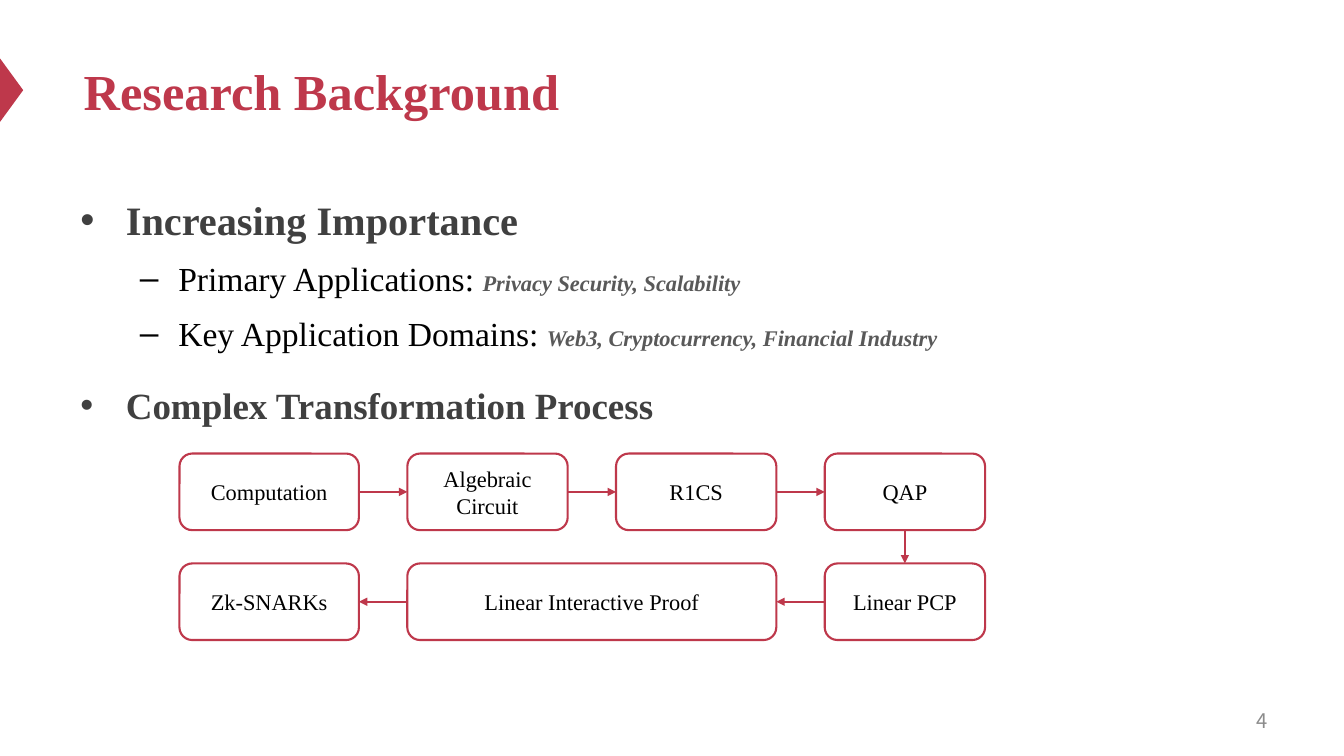
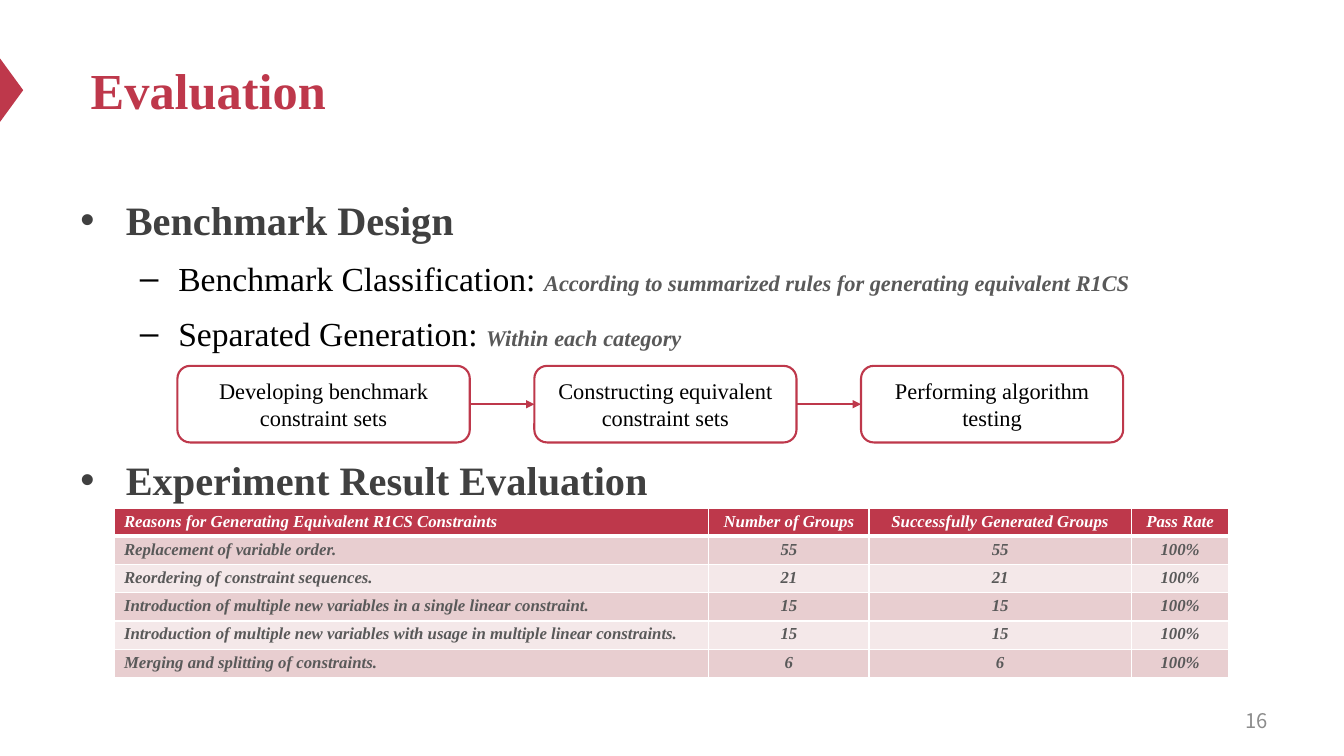
from dataclasses import dataclass
from itertools import pairwise

from lxml import etree
from pptx import Presentation
from pptx.dml.color import RGBColor
from pptx.enum.shapes import MSO_CONNECTOR, MSO_SHAPE
from pptx.enum.text import MSO_ANCHOR, MSO_AUTO_SIZE, PP_ALIGN
from pptx.oxml.ns import qn
from pptx.shapes.autoshape import Shape
from pptx.slide import Slide
from pptx.util import Inches, Pt

CRIMSON = RGBColor(0xBE, 0x38, 0x4B)
CHARCOAL = RGBColor(0x40, 0x40, 0x40)
GRAY = RGBColor(0x59, 0x59, 0x59)
PAGE_GRAY = RGBColor(0x8C, 0x8C, 0x8C)
BLACK = RGBColor(0, 0, 0)
WHITE = RGBColor(0xFF, 0xFF, 0xFF)
ROW_TINTS = (RGBColor(0xE8, 0xCE, 0xD0), RGBColor(0xF4, 0xE8, 0xE9))

SERIF = "Times New Roman"
PAGE_FONT = "Noto Sans CJK SC"
TITLE_ONLY = 5
STEP_HEIGHT = 0.76
TOP, LEFT, BOTTOM, RIGHT = range(4)  # connection sites of a step


@dataclass(frozen=True)
class Heading:
    text: str
    size: float = 28.8
    space_before: float = 14.4


@dataclass(frozen=True)
class Point:
    label: str
    detail: str


@dataclass(frozen=True)
class Step:
    text: str
    width: float


def add_page(deck, title: str, left: float, top: float, number: int) -> Slide:
    """Add a slide with its title, edge marker and page number."""
    slide = deck.slides.add_slide(deck.slide_layouts[TITLE_ONLY])

    marker = slide.shapes.add_shape(
        MSO_SHAPE.ISOSCELES_TRIANGLE, Inches(-0.2), Inches(0.78), Inches(0.63), Inches(0.23)
    )
    marker.rotation = 90
    marker.shadow.inherit = False
    marker.fill.solid()
    marker.fill.fore_color.rgb = CRIMSON
    marker.line.fill.background()

    heading = slide.shapes.title
    heading.left, heading.top = Inches(left), Inches(top)
    heading.width, heading.height = Inches(11.07), Inches(1.18)
    frame = heading.text_frame
    frame.text = title
    frame.auto_size = MSO_AUTO_SIZE.NONE
    frame.vertical_anchor = MSO_ANCHOR.MIDDLE
    paragraph = frame.paragraphs[0]
    paragraph.alignment = PP_ALIGN.LEFT
    style(paragraph.font, 36, CRIMSON, bold=True)

    page = slide.shapes.add_textbox(Inches(9.56), Inches(6.95), Inches(3.11), Inches(0.4))
    page.text_frame.vertical_anchor = MSO_ANCHOR.MIDDLE
    page.text_frame.word_wrap = True
    paragraph = page.text_frame.paragraphs[0]
    paragraph.text = str(number)
    paragraph.alignment = PP_ALIGN.RIGHT
    style(paragraph.font, 14.4, PAGE_GRAY, name=PAGE_FONT)
    return slide


def style(font, size: float, color: RGBColor, bold=False, italic=False, name=SERIF) -> None:
    font.name = name
    font.size = Pt(size)
    font.color.rgb = color
    font.bold = bold
    font.italic = italic


def set_bullet(paragraph, character: str, margin: float, hanging: float) -> None:
    properties = paragraph._p.get_or_add_pPr()
    properties.set("marL", str(Inches(margin)))
    properties.set("indent", str(-Inches(hanging)))
    etree.SubElement(properties, qn("a:buFont")).set("typeface", "Arial")
    etree.SubElement(properties, qn("a:buChar")).set("char", character)


def add_outline(slide: Slide, entries: list[Heading | Point]) -> None:
    body = slide.shapes.add_textbox(Inches(0.7), Inches(1.79), Inches(11.94), Inches(5.2))
    frame = body.text_frame
    frame.word_wrap = True
    for index, entry in enumerate(entries):
        paragraph = frame.add_paragraph() if index else frame.paragraphs[0]
        paragraph.line_spacing = 1.2
        if isinstance(entry, Heading):
            set_bullet(paragraph, "•", 0.45, 0.45)
            paragraph.space_before = Pt(entry.space_before)
            paragraph.text = entry.text
            style(paragraph.font, entry.size, CHARCOAL, bold=True)
        else:
            paragraph.level = 1
            set_bullet(paragraph, "–", 0.97, 0.38)
            paragraph.space_before = Pt(4.8)
            label, detail = paragraph.add_run(), paragraph.add_run()
            label.text, detail.text = f"{entry.label}: ", entry.detail
            style(label.font, 24, BLACK)
            style(detail.font, 16, GRAY, bold=True, italic=True)


def add_steps(slide: Slide, steps: list[Step], left: float, top: float, gap: float) -> list[Shape]:
    """Lay the steps out from left to right with equal gaps."""
    boxes = []
    for step in steps:
        box = slide.shapes.add_shape(
            MSO_SHAPE.ROUNDED_RECTANGLE,
            Inches(left), Inches(top), Inches(step.width), Inches(STEP_HEIGHT),
        )
        box.shadow.inherit = False
        box.fill.background()
        box.line.color.rgb = CRIMSON
        box.line.width = Pt(1.5)
        box.text_frame.word_wrap = True
        box.text_frame.vertical_anchor = MSO_ANCHOR.MIDDLE
        paragraph = box.text_frame.paragraphs[0]
        paragraph.text = step.text
        paragraph.alignment = PP_ALIGN.CENTER
        style(paragraph.font, 16, BLACK)
        boxes.append(box)
        left += step.width + gap
    return boxes


def link_steps(slide: Slide, boxes: list[Shape]) -> None:
    """Join each step to the next one with an arrow."""
    for start, end in pairwise(boxes):
        if end.top > start.top:
            sites = BOTTOM, TOP
        elif end.left > start.left:
            sites = RIGHT, LEFT
        else:
            sites = LEFT, RIGHT
        arrow = slide.shapes.add_connector(MSO_CONNECTOR.STRAIGHT, 0, 0, 0, 0)
        arrow.begin_connect(start, sites[0])
        arrow.end_connect(end, sites[1])
        arrow.line.color.rgb = CRIMSON
        arrow.line.width = Pt(1.5)
        properties = arrow._element.spPr
        etree.SubElement(properties.find(qn("a:ln")), qn("a:tailEnd")).set("type", "triangle")
        etree.SubElement(properties, qn("a:effectLst"))


def set_borders(cell, top: float, bottom: float) -> None:
    properties = cell._tc.get_or_add_tcPr()
    for side, width in (("L", 1), ("R", 1), ("T", top), ("B", bottom)):
        border = etree.SubElement(properties, qn(f"a:ln{side}"), w=str(Pt(width)))
        fill = etree.SubElement(border, qn("a:solidFill"))
        etree.SubElement(fill, qn("a:srgbClr"), val=str(WHITE))


def add_results(slide: Slide, rows: list[tuple[str, ...]], widths: list[float]) -> None:
    row_height = 0.28
    table = slide.shapes.add_table(
        len(rows), len(widths), Inches(1.13), Inches(5.04),
        Inches(sum(widths)), Inches(row_height * len(rows)),
    ).table
    for column, width in zip(table.columns, widths):
        column.width = Inches(width)
    for row_index, row in enumerate(rows):
        table.rows[row_index].height = Inches(row_height)
        is_header = row_index == 0
        for column_index, text in enumerate(row):
            cell = table.cell(row_index, column_index)
            cell.margin_top = cell.margin_bottom = Inches(0.04)
            set_borders(cell, top=3 if row_index == 1 else 1, bottom=3 if is_header else 1)
            cell.fill.solid()
            cell.fill.fore_color.rgb = CRIMSON if is_header else ROW_TINTS[(row_index - 1) % 2]
            paragraph = cell.text_frame.paragraphs[0]
            paragraph.text = text
            paragraph.alignment = PP_ALIGN.CENTER if column_index else PP_ALIGN.LEFT
            style(paragraph.font, 12, WHITE if is_header else GRAY, bold=True, italic=True)


def build_background(deck) -> None:
    slide = add_page(deck, "Research Background", 0.73, 0.31, 4)
    add_outline(slide, [
        Heading("Increasing Importance"),
        Point("Primary Applications", "Privacy Security, Scalability"),
        Point("Key Application Domains", "Web3, Cryptocurrency, Financial Industry"),
        Heading("Complex Transformation Process", size=26.4),
    ])
    upper = add_steps(slide, [
        Step("Computation", 1.78),
        Step("Algebraic Circuit", 1.59),
        Step("R1CS", 1.59),
        Step("QAP", 1.59),
    ], left=1.78, top=4.5, gap=0.48)
    lower = add_steps(slide, [
        Step("Zk-SNARKs", 1.78),
        Step("Linear Interactive Proof", 3.66),
        Step("Linear PCP", 1.59),
    ], left=1.78, top=5.59, gap=0.48)
    link_steps(slide, upper + lower[::-1])


def build_evaluation(deck) -> None:
    slide = add_page(deck, "Evaluation", 0.8, 0.3, 16)
    add_outline(slide, [
        Heading("Benchmark Design"),
        Point("Benchmark Classification",
              "According to summarized rules for generating equivalent R1CS"),
        Point("Separated Generation", "Within each category"),
        Heading("Experiment Result Evaluation", space_before=66),
    ])
    stages = add_steps(slide, [
        Step("Developing benchmark constraint sets", 2.9),
        Step("Constructing equivalent constraint sets", 2.6),
        Step("Performing algorithm testing", 2.6),
    ], left=1.76, top=3.63, gap=0.64)
    link_steps(slide, stages)
    add_results(slide, [
        ("Reasons for Generating Equivalent R1CS Constraints", "Number of Groups",
         "Successfully Generated Groups", "Pass Rate"),
        ("Replacement of variable order.", "55", "55", "100%"),
        ("Reordering of constraint sequences.", "21", "21", "100%"),
        ("Introduction of multiple new variables in a single linear constraint.",
         "15", "15", "100%"),
        ("Introduction of multiple new variables with usage in multiple linear constraints.",
         "15", "15", "100%"),
        ("Merging and splitting of constraints.", "6", "6", "100%"),
    ], widths=[5.9, 1.59, 2.6, 0.97])


def main() -> None:
    deck = Presentation()
    deck.slide_width, deck.slide_height = Inches(13.33), Inches(7.5)
    build_background(deck)
    build_evaluation(deck)
    deck.save("out.pptx")


if __name__ == "__main__":
    main()
